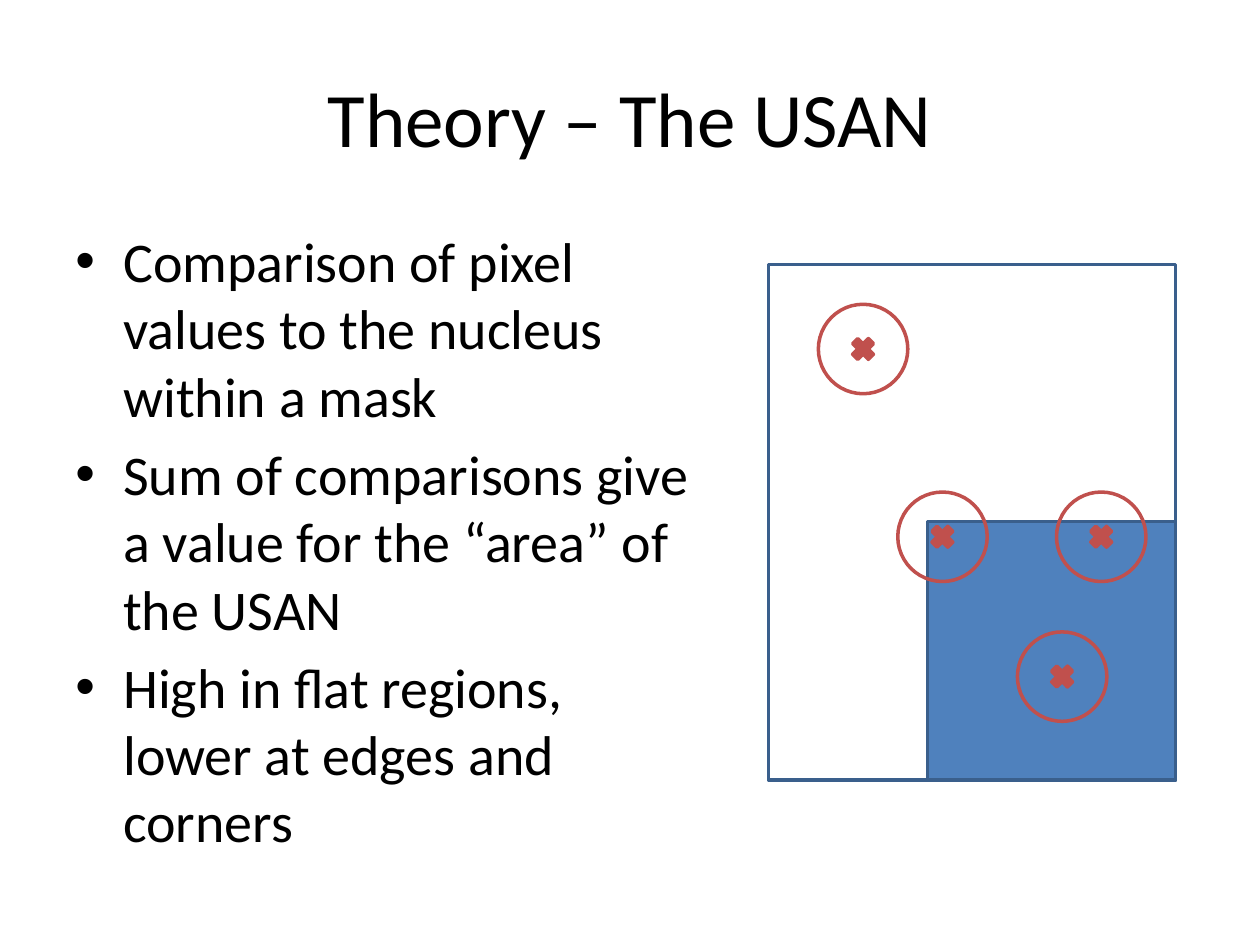
from dataclasses import dataclass

from lxml import etree
from pptx import Presentation
from pptx import util as u
from pptx.dml.color import RGBColor
from pptx.enum import shapes, text
from pptx.oxml.ns import qn


@dataclass(frozen=True)
class Theme:
    font: str = "Calibri"
    title_size: float = 44
    body_size: float = 32
    outline_width: float = 2
    ink: str = "000000"
    paper: str = "FFFFFF"
    region: str = "4F81BD"
    border: str = "3A5F8C"
    mask: str = "C0504D"


THEME = Theme()
TITLE = "Theory – The USAN"
POINTS = [
    "Comparison of pixel values to the nucleus within a mask",
    "Sum of comparisons give a value for the “area” of the USAN",
    "High in flat regions, lower at edges and corners",
]
MASK_CENTRES = [(6.85, 2.77), (7.48, 4.26), (8.74, 4.26), (8.43, 5.37)]
MASK_SIZE = 0.71
NUCLEUS_SIZE = 0.24


def add_text(slide, box, lines, size, anchor):
    frame = slide.shapes.add_textbox(*map(u.Inches, box)).text_frame
    frame.word_wrap = True
    frame.vertical_anchor = anchor
    frame.text = "\n".join(lines)
    for paragraph in frame.paragraphs:
        font = paragraph.runs[0].font
        font.name = THEME.font
        font.size = u.Pt(size)
        font.color.rgb = RGBColor.from_string(THEME.ink)
    return frame


def add_bullet(paragraph):
    paragraph.space_before = u.Pt(THEME.body_size * 0.2)
    properties = paragraph._p.get_or_add_pPr()
    indent = u.Inches(0.38)
    properties.set("marL", str(indent))
    properties.set("indent", str(-indent))
    etree.SubElement(properties, qn("a:buFont")).set("typeface", "Arial")
    etree.SubElement(properties, qn("a:buChar")).set("char", "•")


def add_outlined(group, preset, box, line, fill=None):
    shape = group.shapes.add_shape(preset, *map(u.Inches, box))
    shape.shadow.inherit = False
    shape.line.color.rgb = RGBColor.from_string(line)
    shape.line.width = u.Pt(THEME.outline_width)
    if fill:
        shape.fill.solid()
        shape.fill.fore_color.rgb = RGBColor.from_string(fill)
    else:
        shape.fill.background()


def add_image_area(slide):
    area = slide.shapes.add_group_shape()
    rectangle = shapes.MSO_SHAPE.RECTANGLE
    add_outlined(area, rectangle, (6.1, 2.1, 3.23, 4.09), THEME.border, THEME.paper)
    add_outlined(area, rectangle, (7.36, 4.14, 1.97, 2.05), THEME.border, THEME.region)


def centred_square(x, y, size):
    return x - size / 2, y - size / 2, size, size


def add_mask(slide, x, y):
    mask = slide.shapes.add_group_shape()
    add_outlined(mask, shapes.MSO_SHAPE.OVAL,
                 centred_square(x, y, MASK_SIZE), THEME.mask)
    add_outlined(mask, shapes.MSO_SHAPE.MATH_MULTIPLY,
                 centred_square(x, y, NUCLEUS_SIZE), THEME.mask, THEME.mask)


def main():
    deck = Presentation()
    deck.slide_width, deck.slide_height = u.Inches(10), u.Inches(7.5)
    slide = deck.slides.add_slide(deck.slide_layouts[6])

    title = add_text(slide, (0.5, 0.3, 9, 1.25), [TITLE],
                     THEME.title_size, text.MSO_ANCHOR.MIDDLE)
    title.paragraphs[0].alignment = text.PP_ALIGN.CENTER

    body = add_text(slide, (0.5, 1.75, 5.13, 4.95), POINTS,
                    THEME.body_size, text.MSO_ANCHOR.TOP)
    for point in body.paragraphs:
        add_bullet(point)

    add_image_area(slide)
    for x, y in MASK_CENTRES:
        add_mask(slide, x, y)

    deck.save("out.pptx")


if __name__ == "__main__":
    main()
